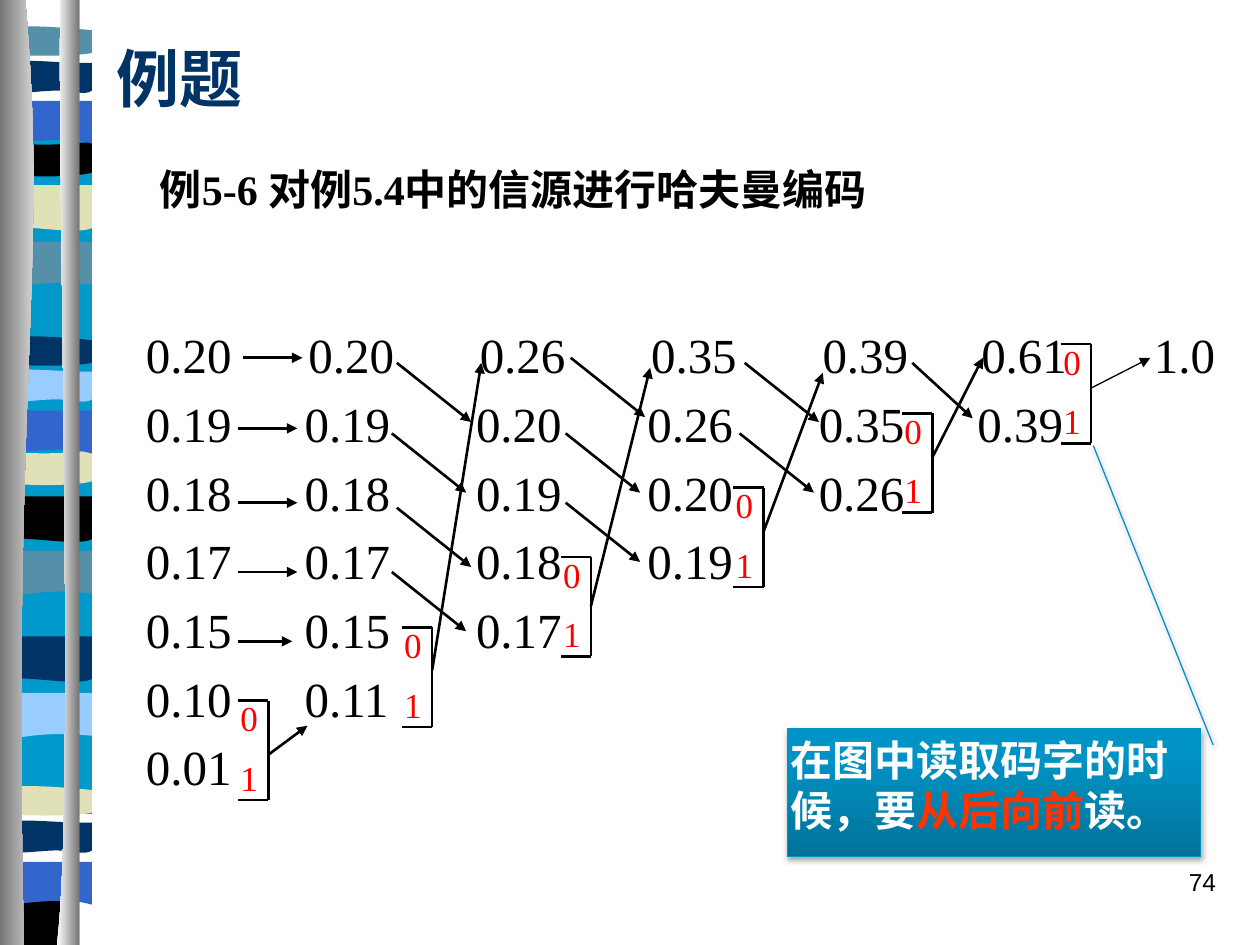
from lxml import etree
from pptx import Presentation
from pptx.dml.color import RGBColor
from pptx.enum.lang import MSO_LANGUAGE_ID
from pptx.enum.shapes import MSO_CONNECTOR, MSO_SHAPE
from pptx.enum.text import MSO_ANCHOR, PP_ALIGN
from pptx.oxml.ns import qn
from pptx.util import Inches, Pt

BLACK, WHITE = RGBColor(0, 0, 0), RGBColor(255, 255, 255)
NAVY, BLUE = RGBColor(0x00, 0x33, 0x66), RGBColor(0x33, 0x66, 0xCC)
TEAL, CYAN = RGBColor(0x54, 0x90, 0xA8), RGBColor(0x00, 0x99, 0xCC)
SKY, SAND = RGBColor(0x99, 0xCC, 0xFF), RGBColor(0xE1, 0xE1, 0xB7)
GREY = RGBColor(0x76, 0x76, 0x76)
RED, ORANGE = RGBColor(255, 0, 0), RGBColor(255, 0x33, 0)
DEEP, BRIGHT = RGBColor(0, 0x72, 0x98), RGBColor(0, 0x94, 0xC6)
SERIF, SANS, CHINESE = "Times New Roman", "Arial", "Noto Sans CJK SC"

ROWS = [
    ["0.20", "0.20", "0.26", "0.35", "0.39", "0.61", "1.0"],
    ["0.19", "0.19", "0.20", "0.26", "0.35", "0.39"],
    ["0.18", "0.18", "0.19", "0.20", "0.26"],
    ["0.17", "0.17", "0.18", "0.19"],
    ["0.15", "0.15", "0.17"],
    ["0.10", "0.11"],
    ["0.01"],
]
TABS = [1.26, 2.62, 3.98, 5.34, 6.6, 7.97]
FIRST_ROW_SHIFT = 0.03

# right edge, top, arrow start height, arrow head, line width
BRACKETS = [
    (2.13, 5.56, 5.99, (2.44, 5.76), 1.5),
    (3.43, 4.98, 5.32, (3.82, 2.88), 1.5),
    (4.69, 4.42, 4.81, (5.16, 2.92), 1.5),
    (6.06, 3.87, 4.22, (6.53, 2.96), 1.5),
    (7.4, 3.28, 3.63, (7.8, 2.84), 1.5),
    (8.66, 2.73, 3.08, (9.13, 2.84), 0.75),
]
BRACKET_WIDTH, BRACKET_HEIGHT = 0.24, 0.79

# step of the arrows, then the points they start from
ARROWS = [
    ((0.47, 0), [(1.93, 2.84), (1.89, 3.4), (1.89, 3.99), (1.89, 4.54)]),
    ((0.43, 0), [(1.89, 5.09)]),
    ((0.59, 0.47), [(3.15, 2.88), (3.11, 3.44), (3.15, 4.03), (3.11, 4.54),
                    (4.53, 2.84), (4.49, 3.44), (4.49, 3.99),
                    (5.91, 2.88), (5.87, 3.44)]),
    ((0.48, 0.44), [(7.24, 2.88)]),
]

# Outlines: x as a share of the width, y in inches below the top.
# Two numbers are a corner, six are a Bezier curve.
FLAT = [(1, 0), (1, 5.46), (0, 5.46), (0, 0)]
SWELL = [(1, 0), (1, 0.34), (0.31, 0.29, 0.17, 0.4, 0, 0.34), (0, 0)]
ROLL = [(1, 0), (1, 0.34), (0.83, 0.4, 0.31, 0.31, 0, 0.34), (0, 0)]
ARCH = [(1, 0), (1, 0.34), (0.85, 0.31, 0.78, 0.31, 0.61, 0.31),
        (0.44, 0.31, 0.15, 0.34, 0, 0.34), (0, 0)]
HILL = [(1, 0), (1, 0.18), (0.83, 0.21, 0.17, 0.21, 0, 0.18), (0, 0),
        (0.07, -0.04, 0.22, -0.03, 0.39, -0.03),
        (0.54, -0.03, 0.86, -0.01, 1, 0)]
BOWL = [(1, 0), (1, 0.24), (0.83, 0.28, 0.17, 0.28, 0, 0.24), (0, 0),
        (0.61, 0.04, 0.78, 0, 1, 0)]
RIDGE = [(1, 0), (1, 0.22), (0.93, 0.26, 0.78, 0.22, 0.61, 0.22),
         (0.44, 0.22, 0.1, 0.26, 0, 0.22), (0, 0),
         (0.14, -0.04, 0.68, 0, 0.85, 0)]
FOOT = [(1, 0), (1, 0.38), (0, 0.38), (0, 0), (0.61, 0.05, 0.78, 0, 1, 0)]
LEFT_POLE = [(0.2, 0), (0.39, 2.16, 0.09, 2.96, 0.19, 7.5), (0, 7.5), (0, 0)]
RIGHT_POLE = [(0.48, 0), (0.45, 1.25, 0.6, 6.46, 0.45, 7.5), (0.63, 7.5), (0.63, 0)]

BAND_WIDTH, FOOT_WIDTH = 0.73, 0.61
BANDS = [
    (FLAT, 1.0, CYAN),
    (SWELL, 1.92, TEAL), (ROLL, 1.47, SAND), (HILL, 0.24, TEAL),
    (BOWL, 1.13, BLACK), (ARCH, 0.8, BLUE), (RIDGE, 0.5, NAVY),
    (SWELL, 4.37, TEAL), (ROLL, 3.94, BLACK), (HILL, 2.7, NAVY),
    (BOWL, 3.58, SAND), (ARCH, 3.26, BLUE), (RIDGE, 2.95, SKY),
    (SWELL, 5.5, SKY), (ROLL, 5.05, NAVY), (HILL, 6.27, SAND),
    (FOOT, 7.12, BLACK), (ARCH, 6.84, BLUE), (RIDGE, 6.53, NAVY),
]

deck = Presentation()
deck.slide_width, deck.slide_height = Inches(10), Inches(7.5)
page = deck.slides.add_slide(deck.slide_layouts[6])


def draw_outline(outline, top=0, width=1):
    """Draw corners and curves; each curve's three points merge into one segment."""
    points = [(Inches(part[i] * width), Inches(top + part[i + 1]))
              for part in outline for i in range(0, len(part), 2)]
    builder = page.shapes.build_freeform(*points[0], scale=1.0)
    builder.add_line_segments(points[1:], close=True)
    shape = builder.convert_to_shape()
    segments = iter(list(shape._element.iter(qn("a:lnTo"))))
    for part in outline[1:]:
        segment = next(segments)
        if len(part) == 6:
            segment.tag = qn("a:cubicBezTo")
            for _ in range(2):
                control = next(segments)
                segment.append(control[0])
                control.getparent().remove(control)
    shape.shadow.inherit = False
    shape.line.fill.background()
    return shape


def fill_gradient(shape, angle, first, last, last_position=1):
    shape.fill.gradient()
    shape.fill.gradient_angle = angle
    stops = shape.fill.gradient_stops
    for stop, color, position in zip(stops, (first, last), (0, last_position)):
        stop.color.rgb, stop.position = color, position


def draw_line(start, end, width=1.5, arrow=False):
    line = page.shapes.add_connector(
        MSO_CONNECTOR.STRAIGHT, *(Inches(value) for value in (*start, *end)))
    line.line.color.rgb, line.line.width = BLACK, Pt(width)
    if arrow:
        etree.SubElement(line.line._get_or_add_ln(), qn("a:tailEnd"), type="triangle")
    etree.SubElement(line._element.spPr, qn("a:effectLst"))


def style_span(span, size, color, font, bold=False, chinese_font=None):
    span.font.size, span.font.name, span.font.bold = Pt(size), font, bold
    span.font.color.rgb = color
    span.font.language_id = MSO_LANGUAGE_ID.SIMPLIFIED_CHINESE
    etree.SubElement(span.font._element, qn("a:ea"), typeface=chinese_font or font)


def add_text(place, text, size, color, font, bold=False, gap=0, chinese_font=None):
    """Add a text box with one paragraph per line, gap points apart."""
    box = page.shapes.add_textbox(*(Inches(value) for value in place))
    box.text_frame.word_wrap = True
    box.text_frame.text = text
    for index, para in enumerate(box.text_frame.paragraphs):
        if index:
            para.space_before = Pt(gap)
        for span in para.runs:
            style_span(span, size, color, font, bold, chinese_font)
    return box


for outline, top, color in BANDS:
    band = draw_outline(outline, top, FOOT_WIDTH if outline is FOOT else BAND_WIDTH)
    band.fill.solid()
    band.fill.fore_color.rgb = color
fill_gradient(draw_outline(LEFT_POLE), 0, GREY, WHITE)
fill_gradient(draw_outline(RIGHT_POLE), 0, WHITE, GREY)

title = add_text((0.83, -0.01, 8.5, 1.25), "例题", 36, NAVY, CHINESE, bold=True)
title.text_frame.vertical_anchor = MSO_ANCHOR.MIDDLE

table_text = "\n".join("\t".join(row) for row in ROWS)
numbers = add_text((1.06, 2.53, 8.8, 4.5), table_text, 28, BLACK, SERIF, gap=5.6)
numbers.fill.solid()
numbers.fill.fore_color.rgb = WHITE
for index, para in enumerate(numbers.text_frame.paragraphs):
    shift = 0 if index else FIRST_ROW_SHIFT
    stops = etree.SubElement(para._p.get_or_add_pPr(), qn("a:tabLst"))
    for tab in TABS[:len(ROWS[index]) - 1]:
        etree.SubElement(stops, qn("a:tab"), pos=str(Inches(tab + shift)), algn="l")

for right, top, start, head, width in BRACKETS:
    left, bottom = right - BRACKET_WIDTH, top + BRACKET_HEIGHT
    corners = [(left, top), (right, top), (right, bottom), (left, bottom)]
    for ends in zip(corners, corners[1:]):
        draw_line(*ends)
    add_text((left - 0.08, top - 0.08, 0.55, 0.93), "0\n1", 20, RED, SERIF, gap=10)
    draw_line((right, start), head, width, arrow=True)

add_text((1.17, 1.25, 7.48, 0.51), "例5-6 对例5.4中的信源进行哈夫曼编码",
         24, BLACK, SERIF, bold=True, chinese_font=CHINESE)

for (across, down), starts in ARROWS:
    for x, y in starts:
        draw_line((x, y), (x + across, y + down), arrow=True)

number = add_text((7.67, 6.83, 2.08, 0.5), "74", 14, BLACK, SANS)
number.text_frame.paragraphs[0].alignment = PP_ALIGN.RIGHT

callout = page.shapes.add_shape(MSO_SHAPE.LINE_CALLOUT_1, Inches(6.25), Inches(5.78),
                                Inches(3.28), Inches(1.02))
for index, value in enumerate((0.13, 1.03, -2.2, 0.74)):
    callout.adjustments[index] = value
fill_gradient(callout, 90, DEEP, BRIGHT, 0.8)
callout.line.color.rgb, callout.line.width = BRIGHT, Pt(0.75)
callout.shadow.inherit = False
shadow = etree.SubElement(callout._element.spPr.find(qn("a:effectLst")), qn("a:outerShdw"),
                          blurRad=str(Pt(3.1)), dist=str(Pt(1.8)), dir="5400000", rotWithShape="0")
shade = etree.SubElement(shadow, qn("a:srgbClr"), val=str(BLACK))
etree.SubElement(shade, qn("a:alpha"), val="35000")
frame = callout.text_frame
frame.word_wrap, frame.vertical_anchor = True, MSO_ANCHOR.TOP
frame.margin_left = frame.margin_right = Inches(0.02)
frame.paragraphs[0].alignment = PP_ALIGN.LEFT
for text, color in [("在图中读取码字的时候，要", WHITE), ("从后向前", ORANGE), ("读。", WHITE)]:
    span = frame.paragraphs[0].add_run()
    span.text = text
    style_span(span, 24, color, SANS, bold=True)

deck.save("out.pptx")
